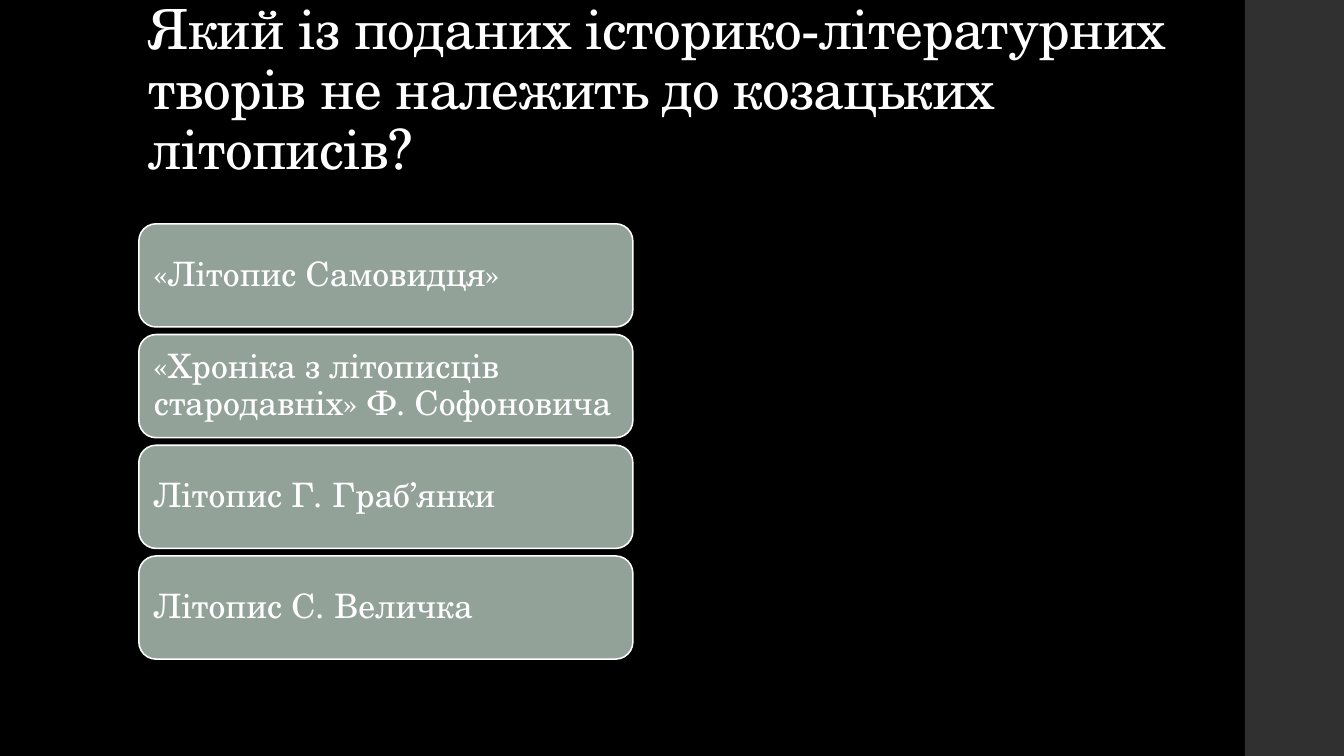
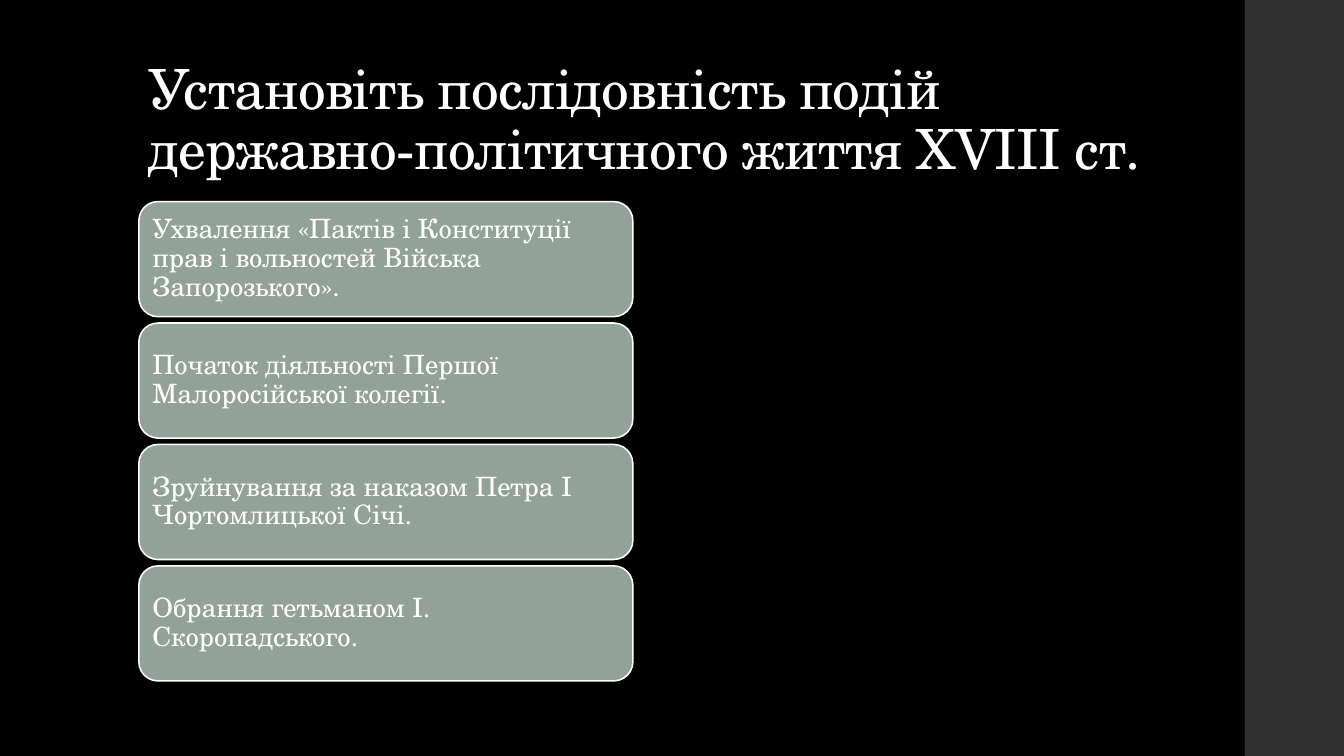
import pptx
import pptx.util
from pptx.dml.color import RGBColor
from pptx.enum.shapes import MSO_SHAPE
from pptx.enum.text import MSO_ANCHOR, PP_ALIGN
from pptx.util import Cm

# Content: question, answers, and the answer stack's measures (cm and pt)
QUESTIONS = [
    {
        "title": "Який із поданих історико-літературних творів "
                 "не належить до козацьких літописів?",
        "answers": [
            "«Літопис Самовидця»",
            "«Хроніка з літописців стародавніх» Ф. Софоновича",
            "Літопис Г. Граб’янки",
            "Літопис С. Величка",
        ],
        "top": 5.64, "height": 2.6, "gap": 0.19, "inset": 0.25, "size": 24,
    },
    {
        "title": "Установіть послідовність подій "
                 "державно-політичного життя XVIII ст.",
        "answers": [
            "Ухвалення «Пактів і Конституції прав і вольностей "
            "Війська Запорозького».",
            "Початок діяльності Першої Малоросійської колегії.",
            "Зруйнування за наказом Петра I Чортомлицької Січі.",
            "Обрання гетьманом І. Скоропадського.",
        ],
        "top": 5.08, "height": 2.9, "gap": 0.16, "inset": 0.2, "size": 19,
    },
]

# Shared style
BLACK = RGBColor(0x00, 0x00, 0x00)
WHITE = RGBColor(0xFF, 0xFF, 0xFF)
BAND_GRAY = RGBColor(0x30, 0x30, 0x30)
SAGE = RGBColor(0x93, 0xA2, 0x99)
FONT = "TeX Gyre Schola"
WIDTH, HEIGHT = 33.87, 19.05
BAND_LEFT = 31.37
LEFT = 3.5
ANSWER_WIDTH = 12.45


def write(frame, text, size, anchor):
    frame.word_wrap = True
    frame.vertical_anchor = anchor
    paragraph = frame.paragraphs[0]
    paragraph.text = text
    paragraph.alignment = PP_ALIGN.LEFT
    paragraph.line_spacing = 0.9
    paragraph.font.name = FONT
    paragraph.font.size = pptx.util.Pt(size)
    paragraph.font.color.rgb = WHITE
    return paragraph


def add_block(slide, preset, left, top, width, height, color):
    block = slide.shapes.add_shape(
        preset, Cm(left), Cm(top), Cm(width), Cm(height))
    block.shadow.inherit = False
    block.fill.solid()
    block.fill.fore_color.rgb = color
    block.line.fill.background()
    return block


def add_title(slide, text):
    title = slide.shapes.add_textbox(Cm(LEFT), Cm(1.02), Cm(26.92), Cm(3.68))
    paragraph = write(title.text_frame, text, 39.6, MSO_ANCHOR.BOTTOM)
    # Tighten the letter spacing by half a point
    paragraph.runs[0]._r.get_or_add_rPr().set("spc", "-50")


def add_answers(slide, question):
    pitch = question["height"] + question["gap"]
    for row, text in enumerate(question["answers"]):
        answer = add_block(
            slide, MSO_SHAPE.ROUNDED_RECTANGLE, LEFT,
            question["top"] + row * pitch, ANSWER_WIDTH, question["height"],
            SAGE)
        answer.line.color.rgb = WHITE
        answer.line.width = pptx.util.Pt(1.1)
        frame = answer.text_frame
        frame.margin_left = frame.margin_right = Cm(question["inset"])
        frame.margin_top = frame.margin_bottom = Cm(question["inset"])
        write(frame, text, question["size"], MSO_ANCHOR.MIDDLE)


def main():
    deck = pptx.Presentation()
    deck.slide_width, deck.slide_height = Cm(WIDTH), Cm(HEIGHT)
    background = deck.slide_master.background.fill
    background.solid()
    background.fore_color.rgb = BLACK

    for question in QUESTIONS:
        slide = deck.slides.add_slide(deck.slide_layouts[6])
        add_block(slide, MSO_SHAPE.RECTANGLE, BAND_LEFT, 0,
                  WIDTH - BAND_LEFT, HEIGHT, BAND_GRAY)
        add_title(slide, question["title"])
        add_answers(slide, question)

    deck.save("out.pptx")


if __name__ == "__main__":
    main()
